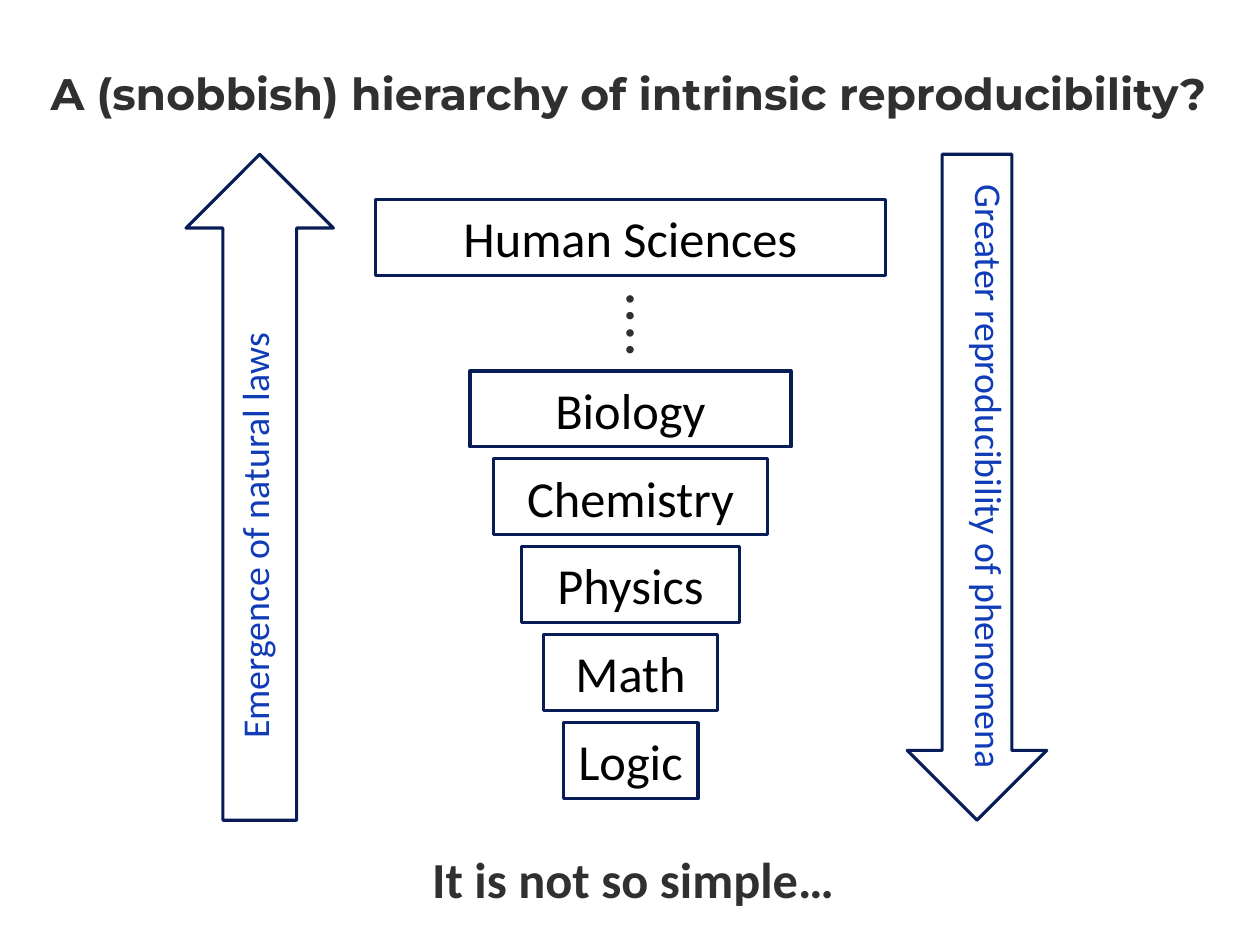
import pptx
import pptx.util
import pptx.dml.color
import pptx.enum.shapes
import pptx.enum.text
import pptx.oxml.ns

Inches = pptx.util.Inches
KIND = pptx.enum.shapes.MSO_SHAPE
FIT = pptx.enum.text.MSO_AUTO_SIZE
HUES = {"paper": "FFFFFF", "navy": "081D58", "blue": "113CB7",
        "dark": "303030", "black": "000000"}


def hue(name):
    return pptx.dml.color.RGBColor.from_string(HUES[name])


def write(shape, text, size=32, color="dark", font="Calibri", bold=False,
          wrap=True, grow=True, vert=None, left=0.1):
    """Put one centred line of formatted text into a shape."""
    frame = shape.text_frame
    frame.word_wrap = wrap
    frame.auto_size = FIT.SHAPE_TO_FIT_TEXT if grow else FIT.NONE
    frame.margin_left = Inches(left)
    if vert:
        body = shape.element.find(".//" + pptx.oxml.ns.qn("a:bodyPr"))
        body.set("vert", vert)
    line = frame.paragraphs[0]
    line.alignment = pptx.enum.text.PP_ALIGN.CENTER
    run = line.add_run()
    run.text = text
    run.font.name = font
    run.font.size = pptx.util.Pt(size)
    run.font.bold = bold
    run.font.color.rgb = hue(color)


def label(slide, box, text, **style):
    shape = slide.shapes.add_textbox(*map(Inches, box))
    write(shape, text, **style)
    return shape


def outline(slide, kind, box):
    shape = slide.shapes.add_shape(kind, *map(Inches, box))
    shape.shadow.inherit = False
    shape.fill.solid()
    shape.fill.fore_color.rgb = hue("paper")
    shape.line.color.rgb = hue("navy")
    shape.line.width = pptx.util.Pt(2)
    return shape


def title(slide, box, text):
    shape = label(slide, box, text, size=28, font="Montserrat", bold=True,
                  grow=False, left=0)
    frame = shape.text_frame
    frame.margin_right = frame.margin_top = frame.margin_bottom = 0
    frame.vertical_anchor = pptx.enum.text.MSO_ANCHOR.MIDDLE


def tower(slide, box):
    """Stack centred fields, narrowest at the bottom, under the top one."""
    x, y, wide, high = box
    mid, tall, step = x + wide / 2, 0.67, 0.775
    fields = [("Logic", 1.19), ("Math", 1.54), ("Physics", 1.92),
              ("Chemistry", 2.42), ("Biology", 2.83)]
    base = y + high - tall
    rows = [(name, width, base - rank * step)
            for rank, (name, width) in enumerate(fields)]
    rows.append(("Human Sciences", wide, y))
    for name, width, top in rows:
        shape = outline(slide, KIND.RECTANGLE,
                        (mid - width / 2, top, width, tall))
        write(shape, name, color="black", grow=False)
    # Dots that bridge the gap
    for drop in (0.86, 0.56):
        label(slide, (mid - 0.17, y + drop, 0.33, 0.64), ":",
              bold=True, wrap=False)


def arrow(slide, box, text, inner, turn=0):
    """Draw a tall arrow with vertical text; inner is relative to box."""
    outline(slide, KIND.DOWN_ARROW, box).rotation = turn
    x, y, wide, high = inner
    note = label(slide, (box[0] + x, box[1] + y, wide, high), text, size=24,
                 color="blue", wrap=False, vert="eaVert")
    note.rotation = turn


deck = pptx.Presentation()
deck.slide_width, deck.slide_height = Inches(11.11), Inches(8.33)
slide = deck.slides.add_slide(deck.slide_layouts[6])

title(slide, (-0.58, 0.23, 12.24, 1.18),
      "A (snobbish) hierarchy of intrinsic reproducibility?")
tower(slide, (3.31, 1.76, 4.5, 5.28))
# Opposite trends on either side
arrow(slide, (1.64, 1.36, 1.3, 5.87), "Emergence of natural laws",
      (0.35, 1.12, 0.61, 4.13), turn=180)
arrow(slide, (8, 1.36, 1.23, 5.87), "Greater reproducibility of phenomena",
      (0.37, 0.17, 0.61, 5.3))
# Closing remark
label(slide, (2.78, 7.43, 5.56, 0.64), "It is not so simple…",
      bold=True, left=0.15)

deck.save("out.pptx")
